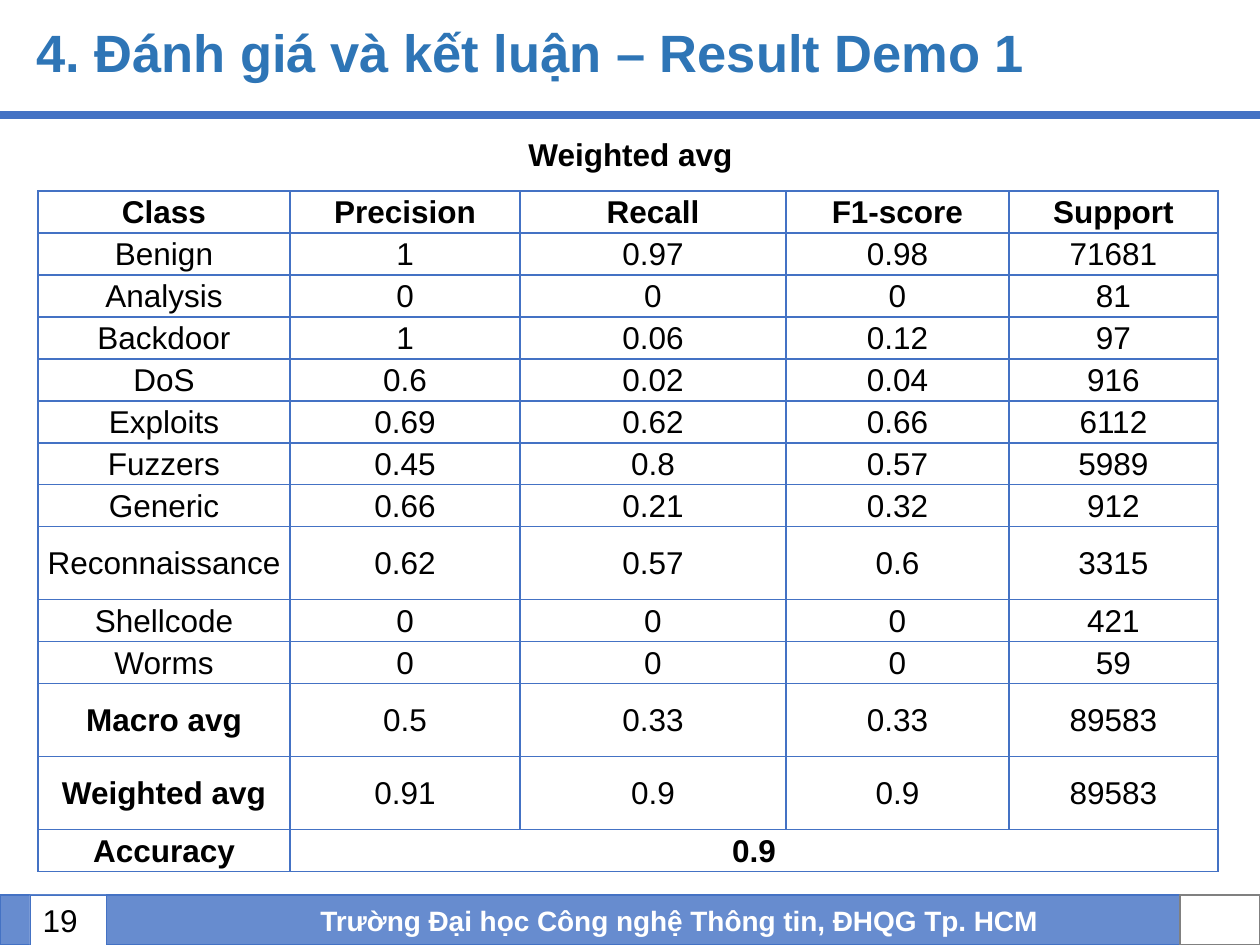
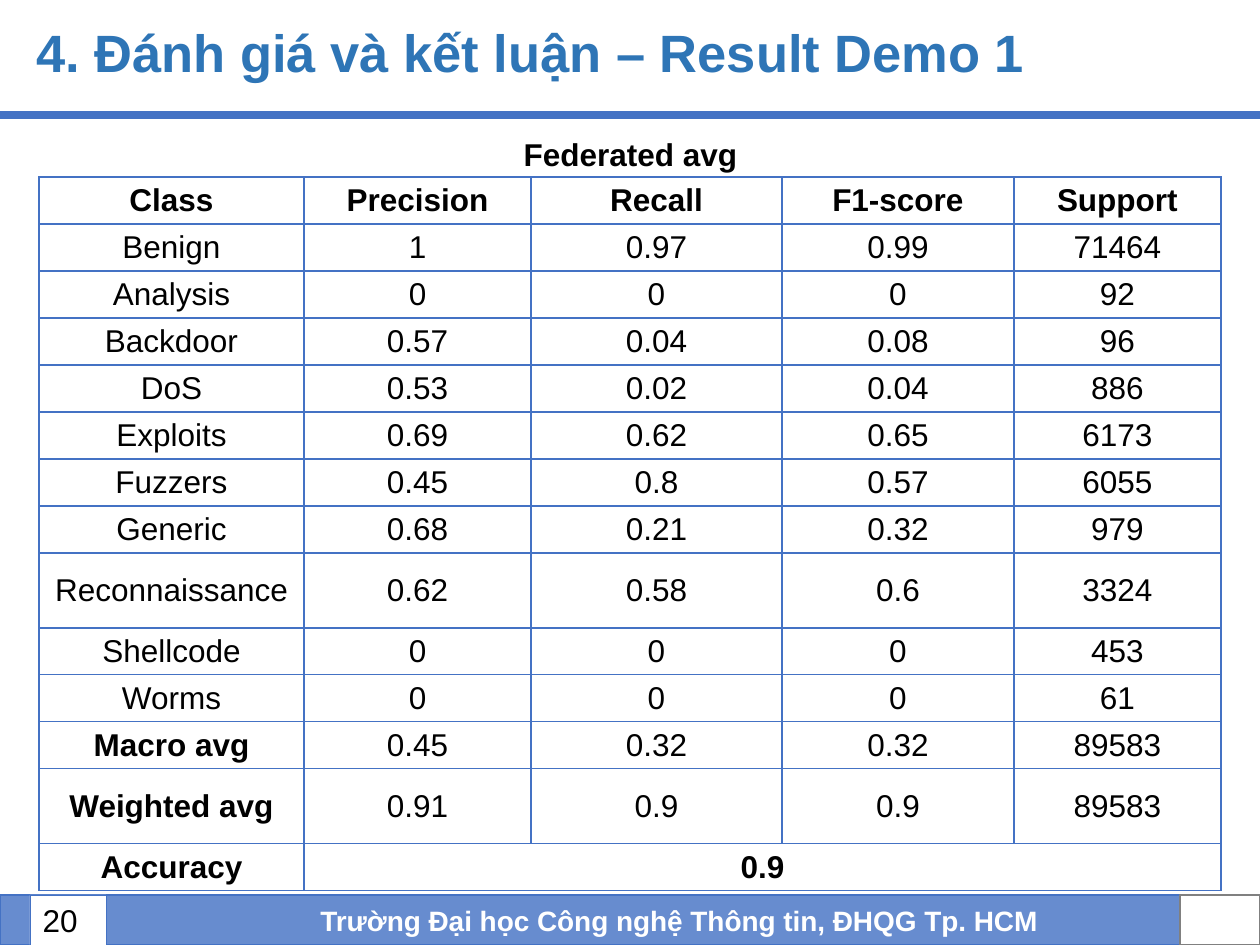
import pptx
import pptx.util
from pptx.dml.color import RGBColor
from pptx.enum.shapes import MSO_CONNECTOR, MSO_SHAPE
from pptx.enum.text import MSO_ANCHOR, PP_ALIGN
from pptx.oxml import parse_xml
from pptx.oxml.ns import nsdecls, qn
from lxml import etree

PX = 914400 / 126
WIDTH, HEIGHT = 1260, 945

BLUE = RGBColor(0x44, 0x72, 0xC4)
TITLE_BLUE = RGBColor(0x2E, 0x75, 0xB6)
GREY = RGBColor(0x80, 0x80, 0x80)
WHITE = RGBColor(0xFF, 0xFF, 0xFF)
BLACK = RGBColor(0, 0, 0)

TITLE = "4. Đánh giá và kết luận – Result Demo 1"
FOOTER = "Trường Đại học Công nghệ Thông tin, ĐHQG Tp. HCM"
HEADER = ["Class", "Precision", "Recall", "F1-score", "Support"]
AVERAGES = ("Macro avg", "Weighted avg")

WEIGHTED = [
    ["Benign", "1", "0.97", "0.98", "71681"],
    ["Analysis", "0", "0", "0", "81"],
    ["Backdoor", "1", "0.06", "0.12", "97"],
    ["DoS", "0.6", "0.02", "0.04", "916"],
    ["Exploits", "0.69", "0.62", "0.66", "6112"],
    ["Fuzzers", "0.45", "0.8", "0.57", "5989"],
    ["Generic", "0.66", "0.21", "0.32", "912"],
    ["Reconnaissance", "0.62", "0.57", "0.6", "3315"],
    ["Shellcode", "0", "0", "0", "421"],
    ["Worms", "0", "0", "0", "59"],
    ["Macro avg", "0.5", "0.33", "0.33", "89583"],
    ["Weighted avg", "0.91", "0.9", "0.9", "89583"],
]
FEDERATED = [
    ["Benign", "1", "0.97", "0.99", "71464"],
    ["Analysis", "0", "0", "0", "92"],
    ["Backdoor", "0.57", "0.04", "0.08", "96"],
    ["DoS", "0.53", "0.02", "0.04", "886"],
    ["Exploits", "0.69", "0.62", "0.65", "6173"],
    ["Fuzzers", "0.45", "0.8", "0.57", "6055"],
    ["Generic", "0.68", "0.21", "0.32", "979"],
    ["Reconnaissance", "0.62", "0.58", "0.6", "3324"],
    ["Shellcode", "0", "0", "0", "453"],
    ["Worms", "0", "0", "0", "61"],
    ["Macro avg", "0.45", "0.32", "0.32", "89583"],
    ["Weighted avg", "0.91", "0.9", "0.9", "89583"],
]


def px(n):
    return pptx.util.Emu(round(n * PX))


def write(tf, text, *, size=18, color=BLACK, bold=False, align=PP_ALIGN.CENTER,
          spacing=None, indent=0):
    p = tf.paragraphs[0]
    p.alignment = align
    if spacing:
        p.line_spacing = spacing
    if indent:
        p._p.get_or_add_pPr().set("marL", str(px(indent)))
    r = p.add_run()
    r.text = text
    r.font.name = "Arial"
    r.font.size = pptx.util.Pt(size)
    r.font.bold = bold
    r.font.color.rgb = color


def border(cell, color, width=1):
    """Draw a solid line on all four sides; call before setting the fill."""
    tcPr = cell._tc.get_or_add_tcPr()
    for side in "LRTB":
        tcPr.append(parse_xml(
            f'<a:ln{side} {nsdecls("a")} w="{pptx.util.Pt(width)}"><a:solidFill>'
            f'<a:srgbClr val="{color}"/></a:solidFill></a:ln{side}>'))


class Deck:
    def __init__(self):
        self.prs = pptx.Presentation()
        self.prs.slide_width, self.prs.slide_height = px(WIDTH), px(HEIGHT)
        self.s = None

    def slide(self, number):
        """Start a slide with the shared title, rule and footer."""
        self.s = self.prs.slides.add_slide(self.prs.slide_layouts[6])
        top, height = 895, 50
        band = self.rect(0, top, 1194, height, BLUE, BLUE, alpha=81)
        tf = band.text_frame
        tf.word_wrap = True
        tf.vertical_anchor = MSO_ANCHOR.MIDDLE
        tf.margin_left = tf.margin_right = px(19)
        tf.margin_top = tf.margin_bottom = px(9)
        write(tf, FOOTER, size=16, color=WHITE, bold=True, indent=165)
        self.rect(30, top, 76, height, WHITE, BLUE, width=0.25)
        self.rule(115)
        self.rect(1180, top, 80, height, WHITE, GREY)
        self.text(24, 20, 1131, 71, TITLE, size=30, color=TITLE_BLUE, bold=True,
                  align=PP_ALIGN.LEFT, spacing=0.9)
        self.text(14, top, 76, height, str(number), align=PP_ALIGN.RIGHT)

    def rect(self, x, y, w, h, fill, line, width=1, alpha=None):
        sp = self.s.shapes.add_shape(MSO_SHAPE.RECTANGLE, px(x), px(y), px(w), px(h))
        sp.shadow.inherit = False
        sp.fill.solid()
        sp.fill.fore_color.rgb = fill
        sp.line.color.rgb = line
        sp.line.width = pptx.util.Pt(width)
        if alpha:
            clr = sp._element.spPr.find(qn("a:solidFill"))[0]
            etree.SubElement(clr, qn("a:alpha")).set("val", str(alpha * 1000))
        return sp

    def rule(self, y):
        """Draw a thick line across the whole slide."""
        line = self.s.shapes.add_connector(MSO_CONNECTOR.STRAIGHT, 0, px(y), px(WIDTH), px(y))
        line.line.color.rgb = BLUE
        line.line.width = pptx.util.Pt(4.5)
        etree.SubElement(line._element.spPr, qn("a:effectLst"))

    def text(self, x, y, w, h, text, anchor=MSO_ANCHOR.MIDDLE, **style):
        tf = self.s.shapes.add_textbox(px(x), px(y), px(w), px(h)).text_frame
        tf.word_wrap = True
        tf.vertical_anchor = anchor
        write(tf, text, **style)

    def table(self, x, y, cols, row, tall, tall_names, rows):
        """Draw rows under the header; the last row spans its value columns."""
        heights = [tall if r[0] in tall_names else row for r in rows]
        table = self.s.shapes.add_table(len(rows), len(cols), px(x), px(y),
                                        px(sum(cols)), px(sum(heights))).table
        table.first_row = table.horz_banding = False
        for col, w in zip(table.columns, cols):
            col.width = px(w)
        last = len(rows) - 1
        for i, (values, h) in enumerate(zip(rows, heights)):
            table.rows[i].height = px(h)
            for j in range(len(cols)):
                cell = table.cell(i, j)
                border(cell, BLUE)
                cell.fill.background()
                cell.vertical_anchor = MSO_ANCHOR.MIDDLE
                cell.margin_left = cell.margin_right = cell.margin_top = px(1)
                cell.margin_bottom = 0
                if j < len(values):
                    bold = i in (0, last) or (j == 0 and values[0] in AVERAGES)
                    write(cell.text_frame, values[j], bold=bold)
        table.cell(last, 1).merge(table.cell(last, len(cols) - 1))

    def result(self, number, caption, scores, accuracy, **grid):
        self.slide(number)
        self.table(rows=[HEADER, *scores, ["Accuracy", accuracy]], **grid)
        self.text(345, 129, 571, 50, caption, anchor=MSO_ANCHOR.TOP, bold=True)


def main():
    deck = Deck()
    deck.result(19, "Weighted avg", WEIGHTED, "0.9", x=38, y=191,
                cols=[252, 230, 266, 223, 209], row=42, tall=73,
                tall_names=("Reconnaissance", *AVERAGES))
    deck.result(20, "Federated avg", FEDERATED, "0.9", x=39, y=177,
                cols=[265, 227, 251, 232, 207], row=47, tall=75,
                tall_names=("Reconnaissance", "Weighted avg"))
    deck.prs.save("out.pptx")


if __name__ == "__main__":
    main()
